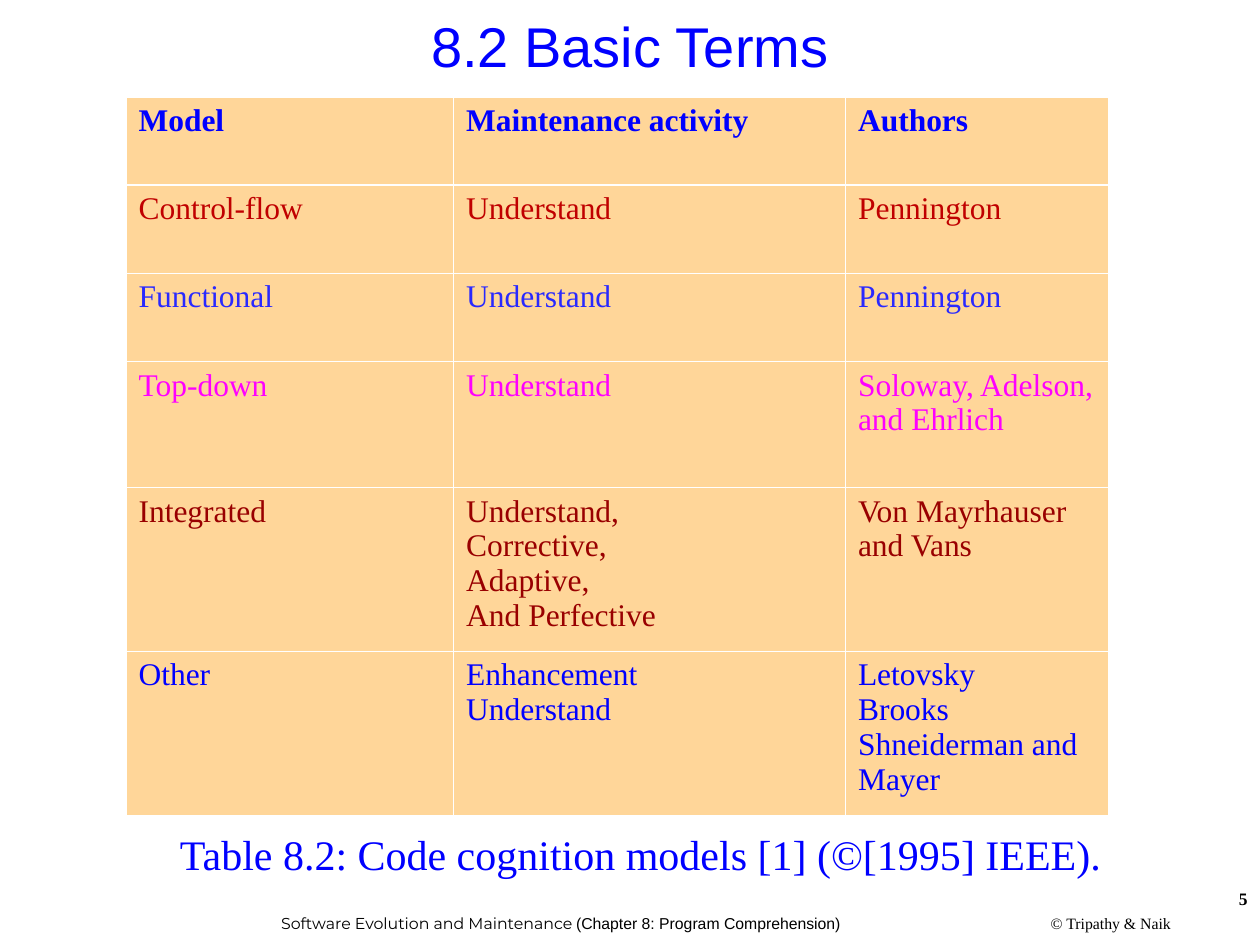
from dataclasses import dataclass

from lxml import etree
from pptx import Presentation
from pptx import util as u
from pptx.dml.color import RGBColor
from pptx.enum import text
from pptx.oxml import ns


@dataclass(frozen=True)
class Theme:
    sans: str = "Arial"
    accent: str = "Montserrat"
    serif: str = "Times New Roman"
    black: str = "000000"
    white: str = "FFFFFF"
    blue: str = "0000FF"
    red: str = "C00000"
    violet_blue: str = "2929FF"
    magenta: str = "FF00FF"
    maroon: str = "990000"
    sand: str = "FFD699"
    title_size: float = 32
    caption_size: float = 24
    table_size: float = 18
    number_size: float = 10
    footer_size: float = 9
    thin: float = 0.45
    thick: float = 1.47


class SlideBuilder:
    columns, rows = 100, 75

    def __init__(self, deck, theme):
        self.theme = theme
        self.cell_width = deck.slide_width / self.columns
        self.cell_height = deck.slide_height / self.rows
        self.page = deck.slides.add_slide(deck.slide_layouts[5])

    def across(self, count):
        return u.Emu(round(count * self.cell_width))

    def down(self, count):
        return u.Emu(round(count * self.cell_height))

    def area(self, left, top, width, height):
        return self.across(left), self.down(top), self.across(width), self.down(height)

    def apply(self, target, values):
        for name, value in values.items():
            setattr(target, name, value)

    def fill_text(self, frame, lines, size, color, font, bold=False, **paragraph_format):
        for index, line in enumerate(lines):
            para = frame.paragraphs[0] if index == 0 else frame.add_paragraph()
            self.apply(para, paragraph_format)
            pieces = [(line, font)] if isinstance(line, str) else line
            for words, face in pieces:
                span = para.add_run()
                span.text = words
                self.apply(span.font, {"size": u.Pt(size), "name": face, "bold": bold})
                span.font.color.rgb = RGBColor.from_string(color)

    def title(self, words, place):
        box = self.page.shapes.title
        self.apply(box, dict(zip(("left", "top", "width", "height"), self.area(*place))))
        self.apply(box.text_frame, {
            "vertical_anchor": text.MSO_ANCHOR.MIDDLE,
            "auto_size": text.MSO_AUTO_SIZE.NONE,
            "word_wrap": True,
        })
        self.fill_text(box.text_frame, [words], self.theme.title_size, self.theme.blue,
                       self.theme.sans, alignment=text.PP_ALIGN.CENTER, line_spacing=0.9)

    def text_box(self, line, place, size, color, align=text.PP_ALIGN.LEFT,
                 anchor=text.MSO_ANCHOR.TOP, wrap=True, bold=False):
        box = self.page.shapes.add_textbox(*self.area(*place))
        self.apply(box.text_frame, {"word_wrap": wrap, "vertical_anchor": anchor})
        self.fill_text(box.text_frame, [line], size, color, self.theme.serif, bold,
                       alignment=align)

    def footer(self, line, place):
        self.text_box(line, place, self.theme.footer_size, self.theme.black,
                      text.PP_ALIGN.CENTER, text.MSO_ANCHOR.MIDDLE, wrap=False)

    def border(self, cell, side, weight):
        properties = cell._tc.get_or_add_tcPr()
        line = etree.SubElement(properties, ns.qn("a:ln" + side), w=str(int(u.Pt(weight))))
        fill = etree.SubElement(line, ns.qn("a:solidFill"))
        etree.SubElement(fill, ns.qn("a:srgbClr"), val=self.theme.white)

    def table(self, records, place, widths, heights):
        theme = self.theme
        grid = self.page.shapes.add_table(
            len(records), len(widths), *self.area(*place)).table
        for column, width in zip(grid.columns, widths):
            column.width = self.across(width)
        for row, height in zip(grid.rows, heights):
            row.height = self.down(height)
        for row_index, (color, *entries) in enumerate(records):
            weights = {
                "L": theme.thin,
                "R": theme.thin,
                "T": theme.thick if row_index == 1 else theme.thin,
                "B": theme.thick if row_index == 0 else theme.thin,
            }
            for column_index, entry in enumerate(entries):
                cell = grid.cell(row_index, column_index)
                for side, weight in weights.items():
                    self.border(cell, side, weight)
                cell.fill.solid()
                cell.fill.fore_color.rgb = RGBColor.from_string(theme.sand)
                self.fill_text(cell.text_frame, entry.split("\n"), theme.table_size,
                               color, theme.serif, bold=row_index == 0)


theme = Theme()
deck = Presentation()
deck.slide_width, deck.slide_height = u.Inches(10), u.Inches(7.5)
slide = SlideBuilder(deck, theme)

slide.footer([("Software Evolution and Maintenance ", theme.accent),
              ("(Chapter 8: Program Comprehension)", theme.sans)],
             (15.9, 71.4, 57.2, 3.8))
slide.footer("© Tripathy & Naik", (80.9, 72, 14.5, 2.5))
slide.text_box("5", (76.7, 70, 23.3, 5.2), theme.number_size, theme.black,
               text.PP_ALIGN.RIGHT, bold=True)
slide.title("8.2 Basic Terms", (0, 1.3, 100, 5.3))
slide.text_box("Table 8.2: Code cognition models [1] (©[1995] IEEE).",
               (13.3, 65.3, 79.2, 5), theme.caption_size, theme.blue)

models = [
    (theme.blue, "Model", "Maintenance activity", "Authors"),
    (theme.red, "Control-flow", "Understand", "Pennington"),
    (theme.violet_blue, "Functional", "Understand", "Pennington"),
    (theme.magenta, "Top-down", "Understand", "Soloway, Adelson, and Ehrlich"),
    (theme.maroon, "Integrated", "Understand,\nCorrective,\nAdaptive,\nAnd Perfective",
     "Von Mayrhauser and Vans"),
    (theme.blue, "Other", "Enhancement\nUnderstand",
     "Letovsky\nBrooks\nShneiderman and Mayer"),
]
slide.table(models, (10, 7.7, 78, 57), (26, 31.1, 20.9), (7, 7, 7, 10, 13, 13))

deck.save("out.pptx")
